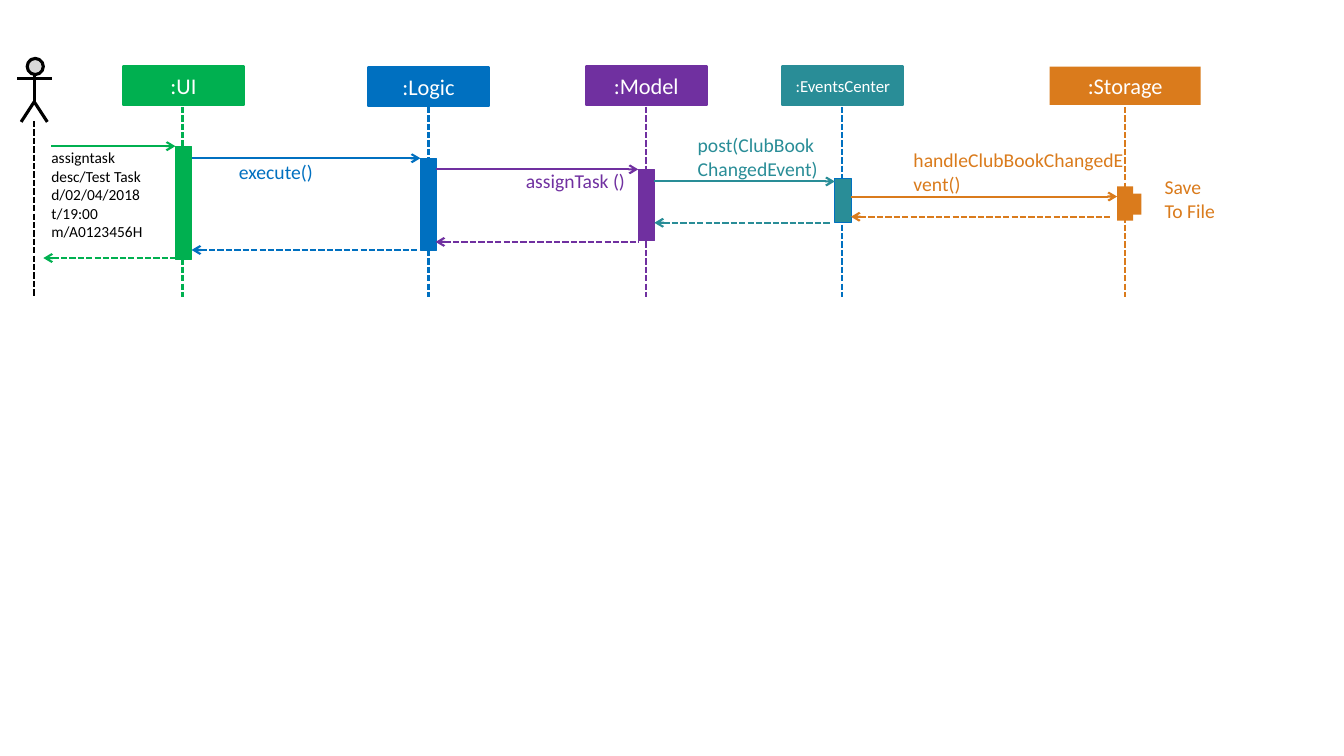
import pptx
import pptx.util
import pptx.dml.color
import pptx.enum.dml
import pptx.enum.shapes
import pptx.enum.text
import pptx.oxml.ns
from lxml import etree

Inches, Pt = pptx.util.Inches, pptx.util.Pt
SHAPE = pptx.enum.shapes.MSO_SHAPE
ALIGN = pptx.enum.text.PP_ALIGN
qn = pptx.oxml.ns.qn

FONT = "Calibri"
BLACK, WHITE, GRAY = "000000", "FFFFFF", "D9D9D9"
GREEN, BLUE, PURPLE, TEAL, ORANGE = "00B050", "0070C0", "7030A0", "298D97", "DA7B1C"

# name, header left, top, width, text size, header colour, header line width,
# lifeline x, lifeline colour, bar left, top, height
PARTICIPANTS = [
    (":UI", 1.22, 0.66, 1.2, 16, GREEN, 1.5, 1.81, GREEN, 1.74, 1.45, 1.12),
    (":Logic", 3.65, 0.67, 1.2, 16, BLUE, 1.5, 4.25, BLUE, 4.17, 1.57, 0.91),
    (":Model", 5.81, 0.66, 1.2, 16, PURPLE, 1.5, 6.41, PURPLE, 6.33, 1.68, 0.71),
    (":EventsCenter", 7.76, 0.66, 1.2, 12, TEAL, 1.5, 8.35, BLUE, 8.28, 1.77, 0.44),
    (":Storage", 10.41, 0.66, 1.5, 16, ORANGE, 0, 11.16, ORANGE, 11.08, 1.85, 0.34),
]

# colour, call from x, to x, y, return from x, to x, y
MESSAGES = [
    (GREEN, 0.51, 1.74, 1.45, 0.43, 1.74, 2.56),
    (BLUE, 1.9, 4.17, 1.57, 1.9, 4.15, 2.48),
    (PURPLE, 4.32, 6.33, 1.68, 4.32, 6.33, 2.4),
    (TEAL, 6.49, 8.28, 1.8, 6.49, 8.24, 2.21),
    (ORANGE, 8.44, 11.08, 1.95, 8.44, 11.03, 2.15),
]

# left, top, width, height, paragraphs, colour, size, alignment
LABELS = [
    (0.51, 1.47, 0.94, 0.93, ["assigntask desc/Test Task d/02/04/2018 t/19:00", "m/A0123456H"],
     BLACK, 11, ALIGN.LEFT),
    (2.37, 1.59, 1.56, 0.24, ["execute()"], BLUE, 14, ALIGN.LEFT),
    (4.64, 1.68, 1.56, 0.24, ["assignTask ()"], PURPLE, 14, ALIGN.RIGHT),
    (6.92, 1.32, 1.33, 0.47, ["post(ClubBook", "ChangedEvent)"], TEAL, 14, ALIGN.LEFT),
    (9.06, 1.47, 2.08, 0.47, ["handleClubBookChangedEvent()"], ORANGE, 14, ALIGN.LEFT),
    (11.55, 1.74, 0.59, 0.47, ["Save", "To File"], ORANGE, 14, ALIGN.LEFT),
]


def rgb(color):
    return pptx.dml.color.RGBColor.from_string(color)


def set_line(sp, color, width):
    if width:
        sp.line.color.rgb = rgb(color)
        sp.line.width = Pt(width)
    else:
        sp.line.fill.background()


def add_box(shapes, kind, x, y, w, h, fill, line, width):
    sp = shapes.add_shape(kind, Inches(x), Inches(y), Inches(w), Inches(h))
    sp.shadow.inherit = False
    sp.fill.solid()
    sp.fill.fore_color.rgb = rgb(fill)
    set_line(sp, line, width)
    return sp


def add_line(shapes, x1, y1, x2, y2, color, width=1.5, dashed=False, arrow=None):
    """Arrow is the line end that gets an arrowhead: headEnd or tailEnd."""
    sp = shapes.add_connector(pptx.enum.shapes.MSO_CONNECTOR.STRAIGHT,
                              Inches(x1), Inches(y1), Inches(x2), Inches(y2))
    set_line(sp, color, width)
    if dashed:
        sp.line.dash_style = pptx.enum.dml.MSO_LINE.SQUARE_DOT
    if arrow:
        etree.SubElement(sp.line._get_or_add_ln(), qn("a:" + arrow), type="arrow")
    etree.SubElement(sp._element.spPr, qn("a:effectLst"))


def add_text(tf, lines, color, size, align):
    tf.word_wrap = True
    for i, line in enumerate(lines):
        p = tf.add_paragraph() if i else tf.paragraphs[0]
        p.alignment = align
        r = p.add_run()
        r.text = line
        r.font.name = FONT
        r.font.size = Pt(size)
        r.font.color.rgb = rgb(color)


def add_label(shapes, x, y, w, h, lines, color, size, align):
    tf = shapes.add_textbox(Inches(x), Inches(y), Inches(w), Inches(h)).text_frame
    tf.margin_left = tf.margin_top = tf.margin_right = tf.margin_bottom = 0
    tf.auto_size = pptx.enum.text.MSO_AUTO_SIZE.SHAPE_TO_FIT_TEXT
    add_text(tf, lines, color, size, align)


def add_actor(shapes):
    group = shapes.add_group_shape().shapes
    add_box(group, SHAPE.FLOWCHART_CONNECTOR, 0.27, 0.58, 0.16, 0.16, GRAY, BLACK, 2.25)
    add_line(group, 0.34, 0.74, 0.34, 1.02, BLACK, 2.25)
    add_line(group, 0.17, 0.78, 0.52, 0.78, BLACK, 2.25)
    # Legs
    fb = group.build_freeform(Inches(0.21), Inches(1.21))
    fb.add_line_segments([(Inches(0.34), Inches(1.01)), (Inches(0.47), Inches(1.21))], close=False)
    legs = fb.convert_to_shape()
    legs.shadow.inherit = False
    legs.fill.background()
    set_line(legs, BLACK, 2.25)
    # Lifeline
    add_line(shapes, 0.34, 1.2, 0.34, 2.95, BLACK, dashed=True)


def add_participant(shapes, name, x, y, w, size, color, width,
                    life_x, life_color, bar_x, bar_y, bar_h):
    header = add_box(shapes, SHAPE.RECTANGLE, x, y, w, 0.38, color, color, width)
    header.text_frame.vertical_anchor = pptx.enum.text.MSO_ANCHOR.MIDDLE
    add_text(header.text_frame, [name], WHITE, size, ALIGN.CENTER)
    add_line(shapes, life_x, 1.06, life_x, 2.95, life_color, dashed=True)
    add_box(shapes, SHAPE.RECTANGLE, bar_x, bar_y, 0.16, bar_h, color, life_color,
            0.5 if width else 0)


def add_message(shapes, color, x1, x2, y, back_x1, back_x2, back_y):
    add_line(shapes, x1, y, x2, y, color, arrow="tailEnd")
    add_line(shapes, back_x1, back_y, back_x2, back_y, color, dashed=True, arrow="headEnd")


def main():
    prs = pptx.Presentation()
    prs.slide_width, prs.slide_height = Inches(13.33), Inches(7.5)
    shapes = prs.slides.add_slide(prs.slide_layouts[6]).shapes

    add_actor(shapes)
    for participant in PARTICIPANTS:
        add_participant(shapes, *participant)
    # Storage calling itself
    add_box(shapes, SHAPE.RECTANGLE, 11.23, 1.92, 0.09, 0.21, ORANGE, ORANGE, 0)
    for message in MESSAGES:
        add_message(shapes, *message)
    for label in LABELS:
        add_label(shapes, *label)

    prs.save("out.pptx")


main()
